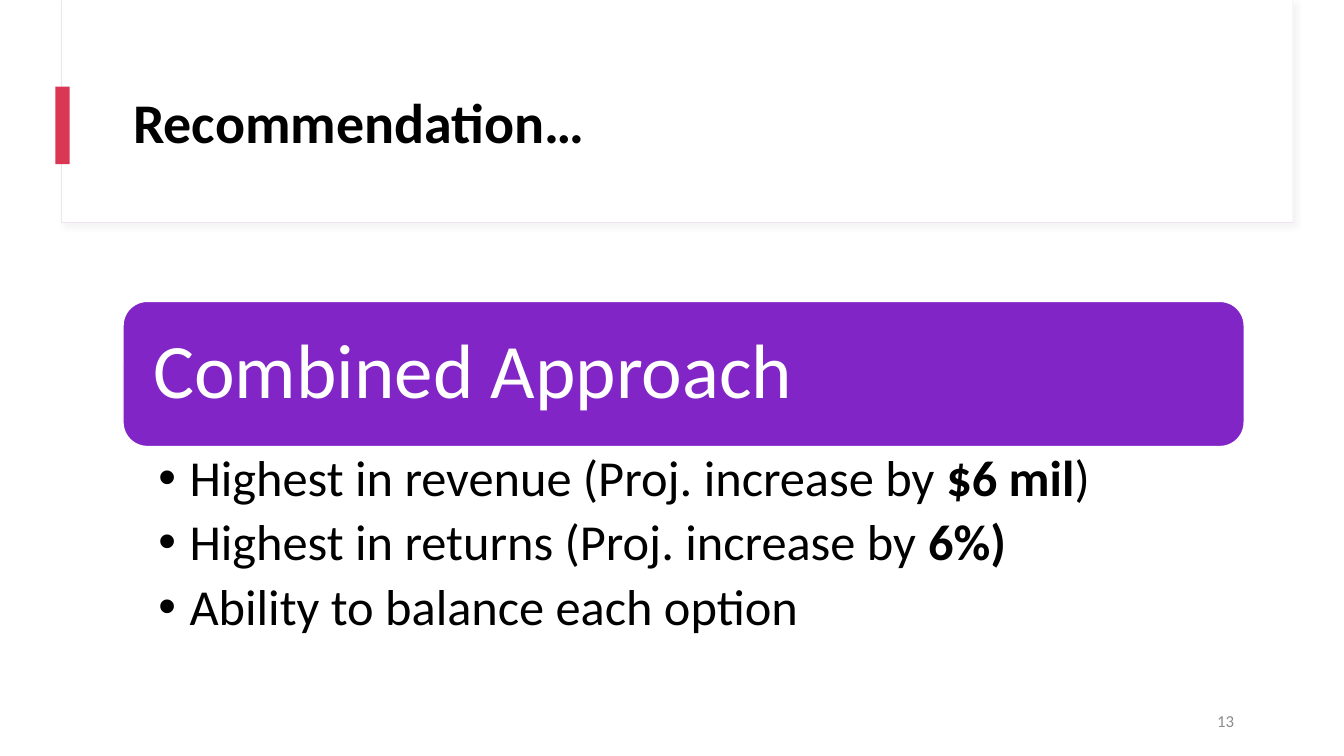
from dataclasses import dataclass

from lxml import etree
from pptx import Presentation, util as u
from pptx.dml.color import RGBColor
from pptx.enum import shapes, text
from pptx.oxml import parse_xml
from pptx.oxml.ns import nsdecls, qn

TITLE = "Recommendation…"
HEADING = "Combined Approach"
POINTS = [
    [("Highest in revenue (Proj. increase by ", False), ("$6 mil", True), (")", False)],
    [("Highest in returns (Proj. increase by ", False), ("6%)", True)],
    [("Ability to balance each option", False)],
]
PAGE = "13"


@dataclass(frozen=True)
class Theme:
    font: str = "Calibri"
    white: str = "FFFFFF"
    black: str = "000000"
    frame: str = "EFE3EF"
    accent: str = "D93753"
    banner: str = "8225C7"
    page: str = "8C8C8C"
    shadow: str = "D9D9D9"
    title_size: int = 40
    heading_size: int = 55
    body_size: int = 36
    page_size: int = 12


T = Theme()
W, H = 13.33, 7.5
LEFT, WIDTH = 1.22, 11.12
RIGHT = LEFT + WIDTH
BANNER_TOP, BANNER_H = 2.99, 1.44
PAD = 0.07
BULLET_INDENT = 0.31


def box(left, top, width, height):
    return [u.Inches(v) for v in (left, top, width, height)]


def add_block(parent, kind, place, fill, line=None, weight=1):
    sp = parent.add_shape(kind, *box(*place))
    sp.shadow.inherit = False
    sp.fill.solid()
    sp.fill.fore_color.rgb = RGBColor.from_string(fill)
    if line:
        sp.line.color.rgb = RGBColor.from_string(line)
        sp.line.width = u.Pt(weight)
    else:
        sp.line.fill.background()
    return sp


def add_shadow(sp):
    effects = sp.element.spPr.find(qn("a:effectLst"))
    effects.append(parse_xml(
        f'<a:outerShdw {nsdecls("a")} blurRad="{u.Pt(4)}" dist="{u.Pt(3)}" dir="2700000" algn="tl">'
        f'<a:srgbClr val="{T.shadow}"><a:alpha val="30000"/></a:srgbClr></a:outerShdw>'))


def set_frame(tf, anchor, insets=(0.1, 0.05, 0.1, 0.05)):
    tf.word_wrap = True
    tf.auto_size = text.MSO_AUTO_SIZE.NONE
    tf.vertical_anchor = anchor
    tf.margin_left, tf.margin_top, tf.margin_right, tf.margin_bottom = map(u.Inches, insets)
    return tf


def add_run(p, words, size, color, bold=False):
    r = p.add_run()
    r.text = words
    r.font.name = T.font
    r.font.size = u.Pt(size)
    r.font.bold = bold
    r.font.color.rgb = RGBColor.from_string(color)


def add_bullet(p):
    p.level = 1
    pPr = p._p.get_or_add_pPr()
    pPr.set("marL", str(u.Inches(BULLET_INDENT)))
    pPr.set("indent", str(-u.Inches(BULLET_INDENT)))
    etree.SubElement(pPr, qn("a:buFont")).set("typeface", "Arial")
    etree.SubElement(pPr, qn("a:buChar")).set("char", "•")


def add_header(s):
    rect = shapes.MSO_SHAPE.RECTANGLE
    add_shadow(add_block(s.shapes, rect, (0.61, 0, 12.21, 2.21), T.white, T.frame, 0.75))
    add_block(s.shapes, rect, (0.62, 0, 12.2, 2.2), T.white)
    add_block(s.shapes, rect, (0.55, 0.86, 0.14, 0.77), T.accent)
    title = s.shapes.title
    s.shapes.element.append(title.element)
    title.left, title.top, title.width, title.height = box(LEFT, 0.6, WIDTH, 1.29)
    p = set_frame(title.text_frame, text.MSO_ANCHOR.MIDDLE).paragraphs[0]
    p.alignment = text.PP_ALIGN.LEFT
    p.line_spacing = 0.9
    add_run(p, TITLE, T.title_size, T.black, True)


def add_recommendation(s):
    group = s.shapes.add_group_shape().shapes
    add_block(group, shapes.MSO_SHAPE.ROUNDED_RECTANGLE,
              (LEFT, BANNER_TOP, WIDTH, BANNER_H), T.banner, T.white)
    heading = group.add_textbox(*box(LEFT + PAD, BANNER_TOP + PAD, WIDTH - 2 * PAD, BANNER_H - 2 * PAD))
    p = set_frame(heading.text_frame, text.MSO_ANCHOR.MIDDLE, (0.23,) * 4).paragraphs[0]
    p.line_spacing = 0.9
    add_run(p, HEADING, T.heading_size, T.white)

    body = group.add_textbox(*box(LEFT, BANNER_TOP + BANNER_H, WIDTH, 2.03))
    tf = set_frame(body.text_frame, text.MSO_ANCHOR.TOP, (0.35, 0.06, 0.36, 0.06))
    for i, runs in enumerate(POINTS):
        p = tf.add_paragraph() if i else tf.paragraphs[0]
        add_bullet(p)
        p.line_spacing = 0.9
        p.space_after = u.Pt(0.2 * T.body_size)
        for words, bold in runs:
            add_run(p, words, T.body_size, T.black, bold)


def add_page_number(s):
    sp = s.shapes.add_textbox(*box(RIGHT - 3, 6.95, 3, 0.4))
    p = set_frame(sp.text_frame, text.MSO_ANCHOR.MIDDLE).paragraphs[0]
    p.alignment = text.PP_ALIGN.RIGHT
    add_run(p, PAGE, T.page_size, T.page)


def main():
    prs = Presentation()
    prs.slide_width, prs.slide_height = u.Inches(W), u.Inches(H)
    s = prs.slides.add_slide(prs.slide_layouts[5])
    add_header(s)
    add_recommendation(s)
    add_page_number(s)
    prs.save("out.pptx")


if __name__ == "__main__":
    main()
